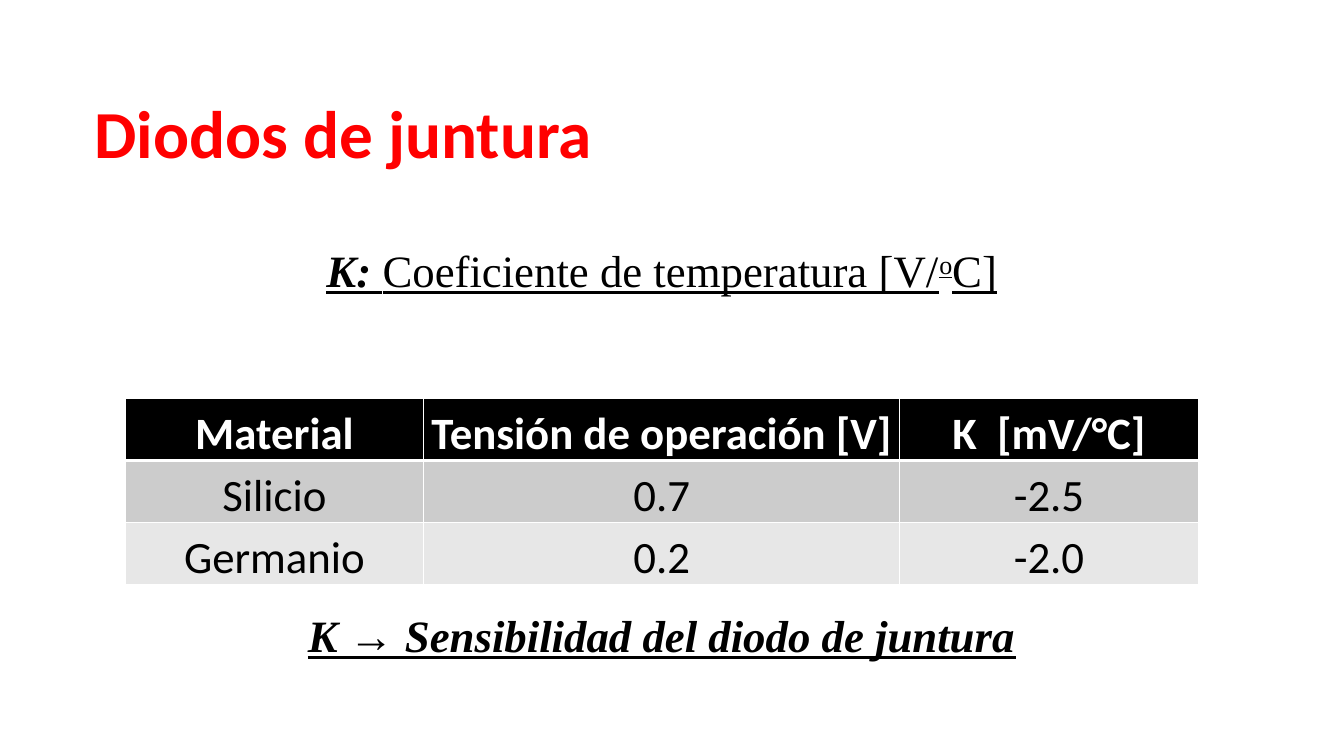
from lxml.etree import SubElement
from pptx import Presentation
from pptx.dml.color import RGBColor
from pptx.enum.text import MSO_ANCHOR, PP_ALIGN
from pptx.oxml.ns import qn
from pptx.util import Pt

TITLE = dict(name="Calibri", size=Pt(48), bold=True)
TERM = dict(name="Times New Roman", size=Pt(32), bold=True, italic=True, underline=True)
MEANING = dict(TERM, bold=False, italic=False)
HEADER = dict(name="Calibri", size=Pt(32), bold=True)
VALUE = dict(HEADER, bold=False)

MATERIALS = [
    ("Material", "Tensión de operación [V]", "K  [mV/°C]"),
    ("Silicio", "0.7", "-2.5"),
    ("Germanio", "0.2", "-2.0"),
]
ROW_FILLS = ["000000", "CCCCCC", "E7E7E7"]
COLUMN_SHARES = [2.96, 4.72, 2.96]


def color(value):
    return RGBColor.from_string(value)


def add_span(para, text, style, ink):
    span = para.add_run()
    span.text = text
    for key, value in style.items():
        setattr(span.font, key, value)
    span.font.color.rgb = color(ink)
    return span


def add_line(page, box, spans, ink="000000", align=PP_ALIGN.CENTER):
    frame = page.shapes.add_textbox(*map(Pt, box)).text_frame
    frame.word_wrap = True
    para = frame.paragraphs[0]
    para.alignment = align
    return [add_span(para, text, style, ink) for text, style in spans]


def add_coefficient(page, box):
    spans = add_line(page, box, [
        ("K: ", TERM),
        ("Coeficiente de temperatura [V/", MEANING),
        ("o", MEANING),
        ("C]", MEANING),
    ])
    spans[2].font._element.set("baseline", "30000")


def add_borders(cell, bottom):
    properties = cell._tc.get_or_add_tcPr()
    for side, width in dict(L=1, R=1, T=1, B=bottom).items():
        line = SubElement(properties, qn(f"a:ln{side}"), w=str(Pt(width)))
        fill = SubElement(line, qn("a:solidFill"))
        SubElement(fill, qn("a:srgbClr"), val="FFFFFF")


def fill_cell(cell, text, style, ink, fill, bottom):
    margins = dict(margin_left=Pt(5), margin_right=Pt(5), margin_top=0, margin_bottom=0)
    for key, value in margins.items():
        setattr(cell, key, value)
    cell.vertical_anchor = MSO_ANCHOR.TOP
    add_borders(cell, bottom)
    cell.fill.solid()
    cell.fill.fore_color.rgb = color(fill)
    para = cell.text_frame.paragraphs[0]
    para.alignment = PP_ALIGN.CENTER
    para.line_spacing = 1.15
    add_span(para, text, style, ink)


def add_materials(page, box):
    left, top, width, height = box
    table = page.shapes.add_table(
        len(MATERIALS), len(COLUMN_SHARES), Pt(left), Pt(top), Pt(width), Pt(height)
    ).table
    table.horz_banding = False
    for column, share in zip(table.columns, COLUMN_SHARES):
        column.width = Pt(width * share / sum(COLUMN_SHARES))
    for index, (texts, fill) in enumerate(zip(MATERIALS, ROW_FILLS)):
        table.rows[index].height = Pt(height / len(MATERIALS))
        style, ink = (VALUE, "000000") if index else (HEADER, "FFFFFF")
        bottom = 1 if index else 3
        for cell, text in zip(table.rows[index].cells, texts):
            fill_cell(cell, text, style, ink, fill, bottom)


def build_slide(deck):
    page = deck.slides.add_slide(deck.slide_layouts[6])
    left, width, line_height = 60.5, 824.4, 46
    add_line(page, (left, 62, 638.6, 65.5), [("Diodos de juntura", TITLE)], "FF0000", PP_ALIGN.LEFT)
    add_coefficient(page, (left, 170, width, line_height))
    add_materials(page, (89.5, 284.7, 766.5, 132.3))
    add_line(page, (left, 430.6, width, line_height), [("K → Sensibilidad del diodo de juntura", TERM)])


def main():
    deck = Presentation()
    deck.slide_width, deck.slide_height = Pt(960), Pt(540)
    build_slide(deck)
    deck.save("out.pptx")


if __name__ == "__main__":
    main()
